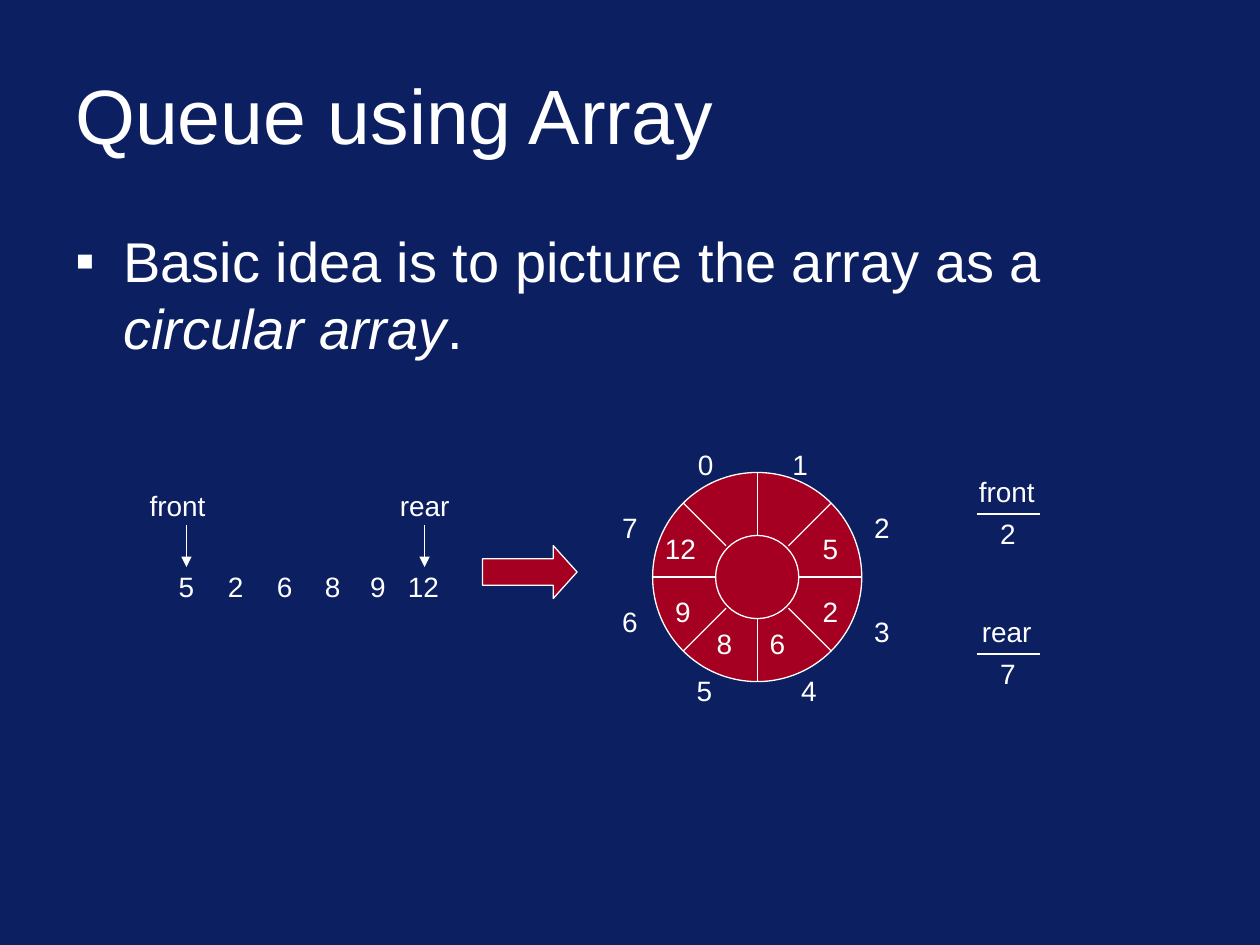
from math import cos, radians, sin

from lxml import etree
from pptx import Presentation
from pptx.dml.color import RGBColor
from pptx.enum import shapes, text as t
from pptx.oxml import ns
from pptx.util import Inches, Pt

NAVY = RGBColor(0x0B, 0x1F, 0x61)
RED = RGBColor(0xA5, 0x00, 0x21)
WHITE = RGBColor(0xFF, 0xFF, 0xFF)

# Content: labels are (text, centre x, top y)
TITLE = "Queue using Array"
IDEA = [("Basic idea is to picture the array as a ", False),
        ("circular array", True), (".", False)]
QUEUE = [("5", 1.48), ("2", 1.87), ("6", 2.26), ("8", 2.64), ("9", 3.0), ("12", 3.36)]
QUEUE_TOP = 4.47
POINTERS = [("front", 1.41, 1.48), ("rear", 3.37, 3.37)]  # name, label x, arrow x
VARIABLES = [("front", "2", 8.0, 3.72), ("rear", "7", 8.0, 4.83)]
INDEXES = [("0", 5.6, 3.5), ("1", 6.35, 3.5), ("2", 7.0, 4.0), ("3", 7.0, 4.83),
           ("4", 6.42, 5.3), ("5", 5.59, 5.3), ("6", 5.0, 4.75), ("7", 5.0, 4.0)]
CELLS = [("5", 6.59, 4.17), ("2", 6.59, 4.67), ("6", 6.17, 4.92),
         ("8", 5.75, 4.92), ("9", 5.42, 4.67), ("12", 5.4, 4.17)]
RING_X, RING_Y, OUTER, INNER = 6.01, 4.58, 0.83, 0.33

prs = Presentation()
prs.slide_width, prs.slide_height = Inches(10), Inches(7.5)
slide = prs.slides.add_slide(prs.slide_layouts[6])
slide.background.fill.solid()
slide.background.fill.fore_color.rgb = NAVY


def add_text(runs, left, top, width, height, size=16, align=t.PP_ALIGN.LEFT,
             anchor=t.MSO_ANCHOR.TOP, wrap=True, bullet=None):
    frame = slide.shapes.add_textbox(*map(Inches, (left, top, width, height))).text_frame
    frame.word_wrap = wrap
    frame.vertical_anchor = anchor
    paragraph = frame.paragraphs[0]
    paragraph.alignment = align
    if bullet:
        props = paragraph._p.get_or_add_pPr()
        props.set("marL", str(Inches(0.38)))
        props.set("indent", str(Inches(-0.38)))
        color = etree.SubElement(props, ns.qn("a:buClr"))
        etree.SubElement(color, ns.qn("a:srgbClr"), val=str(WHITE))
        etree.SubElement(props, ns.qn("a:buFont"), typeface="Arial")
        etree.SubElement(props, ns.qn("a:buChar"), char=bullet)
    for words, italic in runs:
        run = paragraph.add_run()
        run.text = words
        run.font.name, run.font.size = "Arial", Pt(size)
        run.font.italic = italic
        run.font.color.rgb = WHITE


def add_label(words, x, top):
    width = 0.7
    add_text([(words, False)], x - width / 2, top, width, 0.37,
             align=t.PP_ALIGN.CENTER, wrap=False)


def add_line(x1, y1, x2, y2, arrow=False):
    line = slide.shapes.add_connector(shapes.MSO_CONNECTOR.STRAIGHT,
                                      *map(Inches, (x1, y1, x2, y2)))
    line.line.color.rgb = WHITE
    line.line.width = Pt(0.75)
    if arrow:
        etree.SubElement(line.line._get_or_add_ln(), ns.qn("a:tailEnd"), type="triangle")
    etree.SubElement(line._element.spPr, ns.qn("a:effectLst"))


def add_red_shape(kind, left, top, width, height):
    shape = slide.shapes.add_shape(kind, *map(Inches, (left, top, width, height)))
    shape.shadow.inherit = False
    shape.fill.solid()
    shape.fill.fore_color.rgb = RED
    shape.line.color.rgb = WHITE
    shape.line.width = Pt(0.75)
    return shape


# Title and main point
add_text([(TITLE, False)], 0.5, 0.4, 9, 1, size=44, anchor=t.MSO_ANCHOR.MIDDLE)
add_text(IDEA, 0.5, 1.75, 9, 1.33, size=32, bullet="▪")

# Linear queue with its two pointers
for value, x in QUEUE:
    add_label(value, x, QUEUE_TOP)
for name, label_x, arrow_x in POINTERS:
    add_label(name, label_x, 3.83)
    add_line(arrow_x, 4.17, arrow_x, 4.5, arrow=True)

# Arrow from the queue to the ring
arrow = add_red_shape(shapes.MSO_SHAPE.RIGHT_ARROW, 3.83, 4.33, 0.75, 0.42)
arrow.adjustments[1] = 0.45

# Circular array: two circles, eight spokes, indexes and values
for radius in (OUTER, INNER):
    add_red_shape(shapes.MSO_SHAPE.OVAL, RING_X - radius, RING_Y - radius,
                  2 * radius, 2 * radius)
for degrees in range(0, 360, 45):
    dx, dy = cos(radians(degrees)), sin(radians(degrees))
    start = INNER + 0.02 if degrees % 90 else INNER
    add_line(RING_X + start * dx, RING_Y + start * dy,
             RING_X + OUTER * dx, RING_Y + OUTER * dy)
for label in INDEXES + CELLS:
    add_label(*label)

# Values of the front and rear variables
for name, value, x, top in VARIABLES:
    add_label(name, x - 0.01, top)
    add_line(x - 0.25, top + 0.36, x + 0.25, top + 0.36)
    add_label(value, x, top + 0.33)

prs.save("out.pptx")
